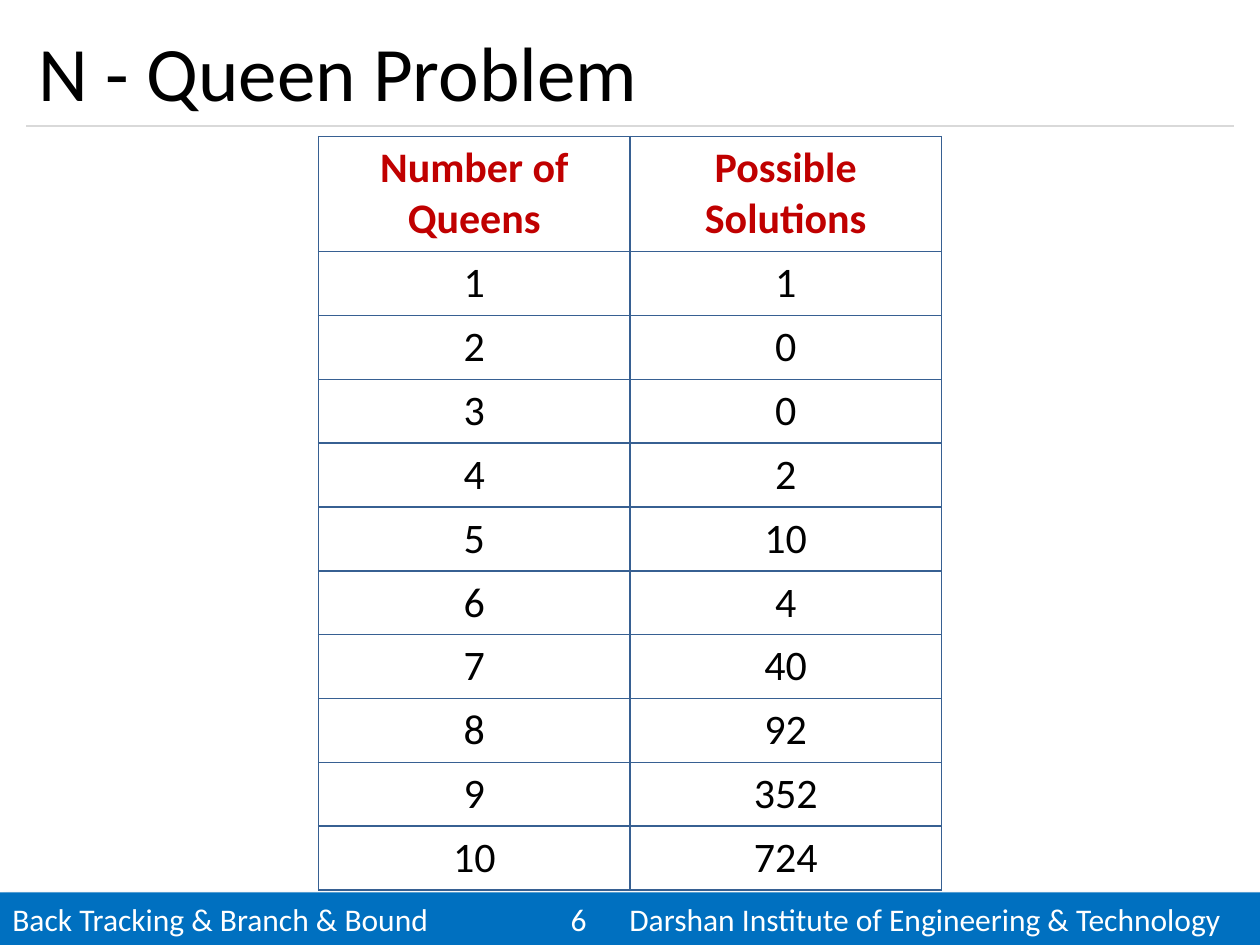
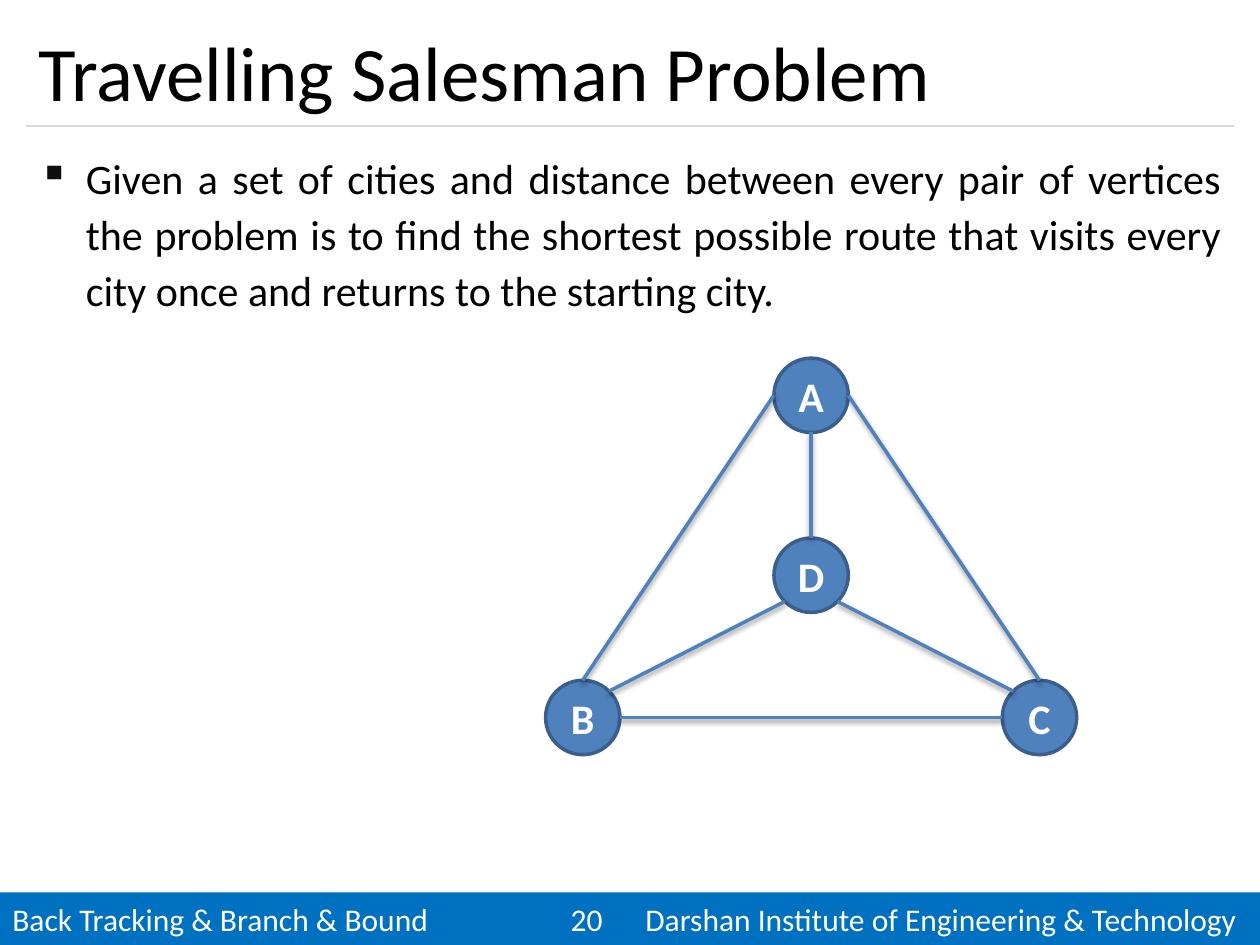
from dataclasses import dataclass
from math import cos, radians, sin

from lxml.etree import SubElement as Sub
from pptx import Presentation
from pptx.dml.color import RGBColor as Rgb
from pptx.enum.shapes import MSO_CONNECTOR as Conn, MSO_SHAPE as Shape
from pptx.enum.text import MSO_ANCHOR as Anchor, PP_ALIGN as Align
from pptx.oxml.ns import qn
from pptx.util import Pt

FONT = "Calibri"
COLORS = {
    "band": "0070C0", "rule": "D9D9D9", "grid": "376092", "head": "C00000",
    "text": "000000", "white": "FFFFFF", "bullet": "0D0D0D",
    "node": "4F81BD", "rim": "3A5F8C",
}
WIDTH, HEIGHT = 720, 540
LEFT, SPAN = 15, 690
BAND = 30
CHAPTER = "Back Tracking & Branch & Bound"
SCHOOL = "Darshan Institute of Engineering & Technology"
DIGIT = 9.1  # width of one footer digit

COUNTS = [1, 0, 0, 2, 10, 4, 40, 92, 352, 724]
TASK = ("Given a set of cities and distance between every pair of vertices "
        "the problem is to find the shortest possible route that visits "
        "every city once and returns to the starting city.")
SIZE = 42.5  # diameter of a node


@dataclass(frozen=True)
class Shade:
    alpha: int
    blur: float
    dist: float
    angle: int


@dataclass(frozen=True)
class Node:
    name: str
    x: float
    y: float

    def rim(self, angle: int) -> tuple:
        """Point on the rim, with the angle clockwise from the right."""
        turn = radians(angle)
        return (Pt(self.x + SIZE / 2 * cos(turn)),
                Pt(self.y + SIZE / 2 * sin(turn)))


@dataclass(frozen=True)
class Edge:
    start: Node
    out: int
    end: Node
    into: int


A = Node("A", 463.5, 225.9)
B = Node("B", 333, 410)
C = Node("C", 594, 410)
D = Node("D", 463.5, 328.7)
NODES = [A, B, C, D]
EDGES = [
    Edge(A, 180, B, 270), Edge(B, 0, C, 180), Edge(B, 315, D, 135),
    Edge(C, 225, D, 45), Edge(C, 270, A, 0), Edge(D, 270, A, 90),
]
BAND_SHADE = Shade(40, 4, 3, 45)
EDGE_SHADE = Shade(38, 3.1, 1.6, 90)


def color(name: str) -> Rgb:
    return Rgb.from_string(COLORS[name])


def style(para, size: float, ink: str, bold: bool = False) -> None:
    for run in para.runs:
        font = run.font
        font.name, font.size, font.bold = FONT, Pt(size), bold
        font.color.rgb = color(ink)


def shade(shape, look: Shade) -> None:
    """Add an outer shadow; the fill and line must be set before."""
    effects = Sub(shape._element.spPr, qn("a:effectLst"))
    outer = Sub(effects, qn("a:outerShdw"), blurRad=str(Pt(look.blur)),
                dist=str(Pt(look.dist)), dir=str(look.angle * 60000),
                rotWithShape="0")
    tint = Sub(outer, qn("a:srgbClr"), val=COLORS["text"])
    Sub(tint, qn("a:alpha"), val=str(look.alpha * 1000))


def line(slide, start: tuple, end: tuple, ink: str, width: float):
    link = slide.shapes.add_connector(Conn.STRAIGHT, *start, *end)
    link.line.color.rgb = color(ink)
    link.line.width = Pt(width)
    return link


def box(slide, top: float, height: float, text: str):
    frame = slide.shapes.add_textbox(
        Pt(LEFT), Pt(top), Pt(SPAN), Pt(height)).text_frame
    frame.word_wrap = True
    frame.text = text
    return frame


def footer(slide, number: int) -> None:
    band = slide.shapes.add_shape(
        Shape.RECTANGLE, 0, Pt(HEIGHT - BAND), Pt(WIDTH), Pt(BAND))
    band.fill.solid()
    band.fill.fore_color.rgb = color("band")
    band.line.fill.background()
    shade(band, BAND_SHADE)
    frame = band.text_frame
    frame.vertical_anchor = Anchor.MIDDLE
    frame.text = f"{CHAPTER}\t{number}\t{SCHOOL}"
    para = frame.paragraphs[0]
    para.alignment = Align.LEFT
    tabs = Sub(para._p.get_or_add_pPr(), qn("a:tabLst"))
    for stop in (319, 343.5 + DIGIT * len(str(number))):
        Sub(tabs, qn("a:tab"), pos=str(Pt(stop)), algn="l")
    style(para, 18, "white")


def page(deck, title: str, number: int):
    """Add a slide with the shared footer, rule and title."""
    slide = deck.slides.add_slide(deck.slide_layouts[6])
    footer(slide, number)
    rule = line(slide, (Pt(LEFT), Pt(72)), (Pt(LEFT + SPAN), Pt(72)),
                "rule", 0.75)
    Sub(rule._element.spPr, qn("a:effectLst"))
    frame = box(slide, 8.6, 63.4, title)
    frame.vertical_anchor = Anchor.MIDDLE
    style(frame.paragraphs[0], 44, "text")
    return slide


def border(cell) -> None:
    props = cell._tc.get_or_add_tcPr()
    for side in "LRTB":
        edge = Sub(props, qn(f"a:ln{side}"), w=str(Pt(1)))
        fill = Sub(edge, qn("a:solidFill"))
        Sub(fill, qn("a:srgbClr"), val=COLORS["grid"])


def queens(slide) -> None:
    rows = [("Number of Queens", "Possible Solutions"), *enumerate(COUNTS, 1)]
    table = slide.shapes.add_table(
        len(rows), 2, Pt(182), Pt(78), Pt(356), Pt(430.8)).table
    table.first_row = table.horz_banding = False
    for i, row in enumerate(rows):
        table.rows[i].height = Pt(36.5 if i else 65.8)
        for j, value in enumerate(row):
            cell = table.cell(i, j)
            border(cell)
            cell.fill.background()
            cell.text_frame.text = str(value)
            para = cell.text_frame.paragraphs[0]
            para.alignment = Align.CENTER
            style(para, 24, "text" if i else "head", bold=not i)


def task(slide) -> None:
    para = box(slide, 80, 418, TASK).paragraphs[0]
    para.alignment = Align.JUSTIFY
    para.line_spacing = 1.12
    props = para._p.get_or_add_pPr()
    props.set("marL", str(Pt(27)))
    props.set("indent", str(Pt(-27)))
    Sub(Sub(props, qn("a:buClr")), qn("a:srgbClr"), val=COLORS["bullet"])
    Sub(props, qn("a:buChar"), char="▪")
    style(para, 24, "text")


def draw(slide, node: Node) -> None:
    disc = slide.shapes.add_shape(
        Shape.OVAL, Pt(node.x - SIZE / 2), Pt(node.y - SIZE / 2),
        Pt(SIZE), Pt(SIZE))
    disc.shadow.inherit = False
    disc.fill.solid()
    disc.fill.fore_color.rgb = color("node")
    disc.line.color.rgb = color("rim")
    disc.line.width = Pt(2)
    frame = disc.text_frame
    frame.margin_left = frame.margin_right = 0
    frame.margin_top = frame.margin_bottom = 0
    frame.vertical_anchor = Anchor.MIDDLE
    frame.text = node.name
    para = frame.paragraphs[0]
    para.alignment = Align.CENTER
    style(para, 24, "white", bold=True)


def graph(slide) -> None:
    for node in NODES:
        draw(slide, node)
    for edge in EDGES:
        link = line(slide, edge.start.rim(edge.out), edge.end.rim(edge.into),
                    "node", 2)
        shade(link, EDGE_SHADE)


def main() -> None:
    deck = Presentation()
    deck.slide_width, deck.slide_height = Pt(WIDTH), Pt(HEIGHT)
    queens(page(deck, "N - Queen Problem", 6))
    tour = page(deck, "Travelling Salesman Problem", 20)
    task(tour)
    graph(tour)
    deck.save("out.pptx")


if __name__ == "__main__":
    main()
